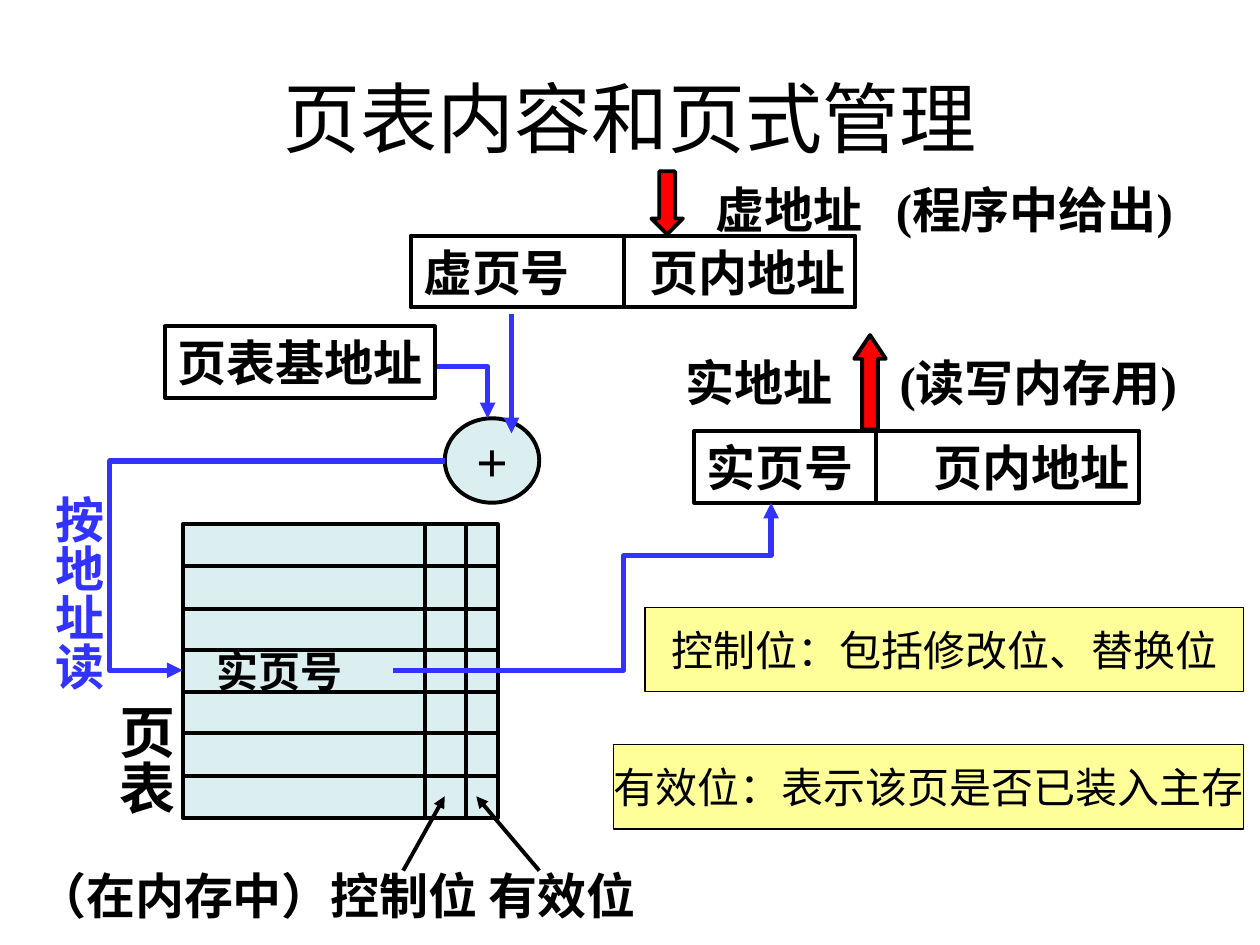
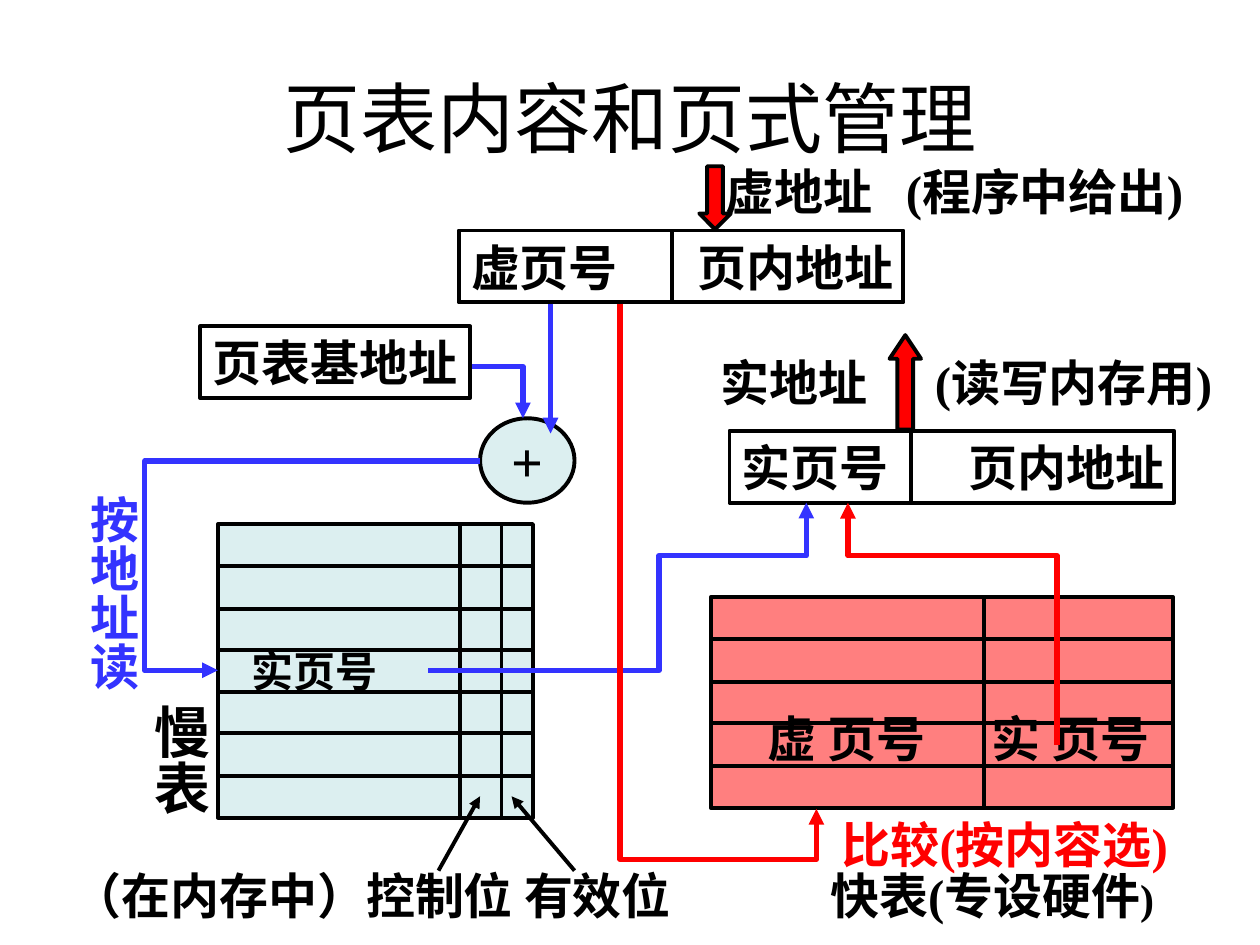
from dataclasses import dataclass, replace
from typing import Optional, Union

from lxml.etree import SubElement
from pptx import Presentation
from pptx.dml.color import RGBColor
from pptx.enum.lang import MSO_LANGUAGE_ID
from pptx.enum.shapes import MSO_CONNECTOR, MSO_SHAPE
from pptx.enum.text import MSO_ANCHOR, MSO_AUTO_SIZE, PP_ALIGN
from pptx.oxml.ns import qn
from pptx.util import Emu, Pt

PX = 9144
COLORS = {
    "ink": "000000",
    "blue": "3333FF",
    "red": "FF0000",
    "teal": "BBE0E3",
    "yellow": "FFFF99",
}
TITLE = "页表内容和页式管理"
TITLE_BOX = (50, 30, 900, 125)
TITLE_FONT = {"name": "Arial", "size": Pt(44), "bold": False}
FRAME = {"vertical_anchor": MSO_ANCHOR.MIDDLE, "auto_size": MSO_AUTO_SIZE.NONE}
SHIFT = 28

Box = tuple[int, int, int, int]
Point = tuple[int, int]


@dataclass(frozen=True)
class Block:
    box: Box
    text: str = ""
    shape: Optional[MSO_SHAPE] = None
    fill: str = ""
    alpha: int = 100
    weight: float = 2.25
    size: int = 28
    color: str = "ink"
    bold: bool = True
    inset: int = 10
    tab: int = 0
    vertical: bool = False
    wrap: bool = False
    ending: str = ""
    adjustments: tuple[float, ...] = ()


@dataclass(frozen=True)
class Path:
    points: tuple[Point, ...]
    color: str = "ink"
    weight: float = 2.25
    arrow: bool = False


Item = Union[Block, Path]


def px(value: int) -> Emu:
    return Emu(value * PX)


def rgb(name: str) -> RGBColor:
    return RGBColor.from_string(COLORS[name])


def set_attrs(target, values: dict) -> None:
    for name, value in values.items():
        setattr(target, name, value)


def add_run(p, text: str, color: str, values: dict) -> None:
    r = p.add_run()
    r.text = text
    set_attrs(r.font, {**values, "language_id": MSO_LANGUAGE_ID.SIMPLIFIED_CHINESE})
    r.font.color.rgb = rgb(color)


def set_line(s, color: str, weight: float) -> None:
    s.line.color.rgb = rgb(color)
    s.line.width = Pt(weight)


def write_text(sp, block: Block) -> None:
    tf = sp.text_frame
    side, top = (5, 10) if block.vertical else (block.inset, 5)
    set_attrs(tf, {
        **FRAME,
        "word_wrap": block.wrap or bool(block.tab),
        "margin_left": px(side),
        "margin_right": px(0 if block.tab else side),
        "margin_top": px(top),
        "margin_bottom": px(top),
    })
    if block.vertical:
        sp.element.find(".//" + qn("a:bodyPr")).set("vert", "eaVert")
    p = tf.paragraphs[0]
    p.alignment = PP_ALIGN.LEFT if block.tab else PP_ALIGN.CENTER
    if block.tab:
        tabs = SubElement(sp.element.find(".//" + qn("a:pPr")), qn("a:tabLst"))
        SubElement(tabs, qn("a:tab"), pos=str(px(block.tab)), algn="l")
    font = {"name": "Times New Roman", "size": Pt(block.size), "bold": block.bold}
    add_run(p, block.text, block.color, font)
    if block.ending:
        add_run(p, block.ending, block.color, {**font, "size": Pt(24)})


def draw_block(slide, block: Block) -> None:
    box = [px(value) for value in block.box]
    if block.shape is None:
        sp = slide.shapes.add_textbox(*box)
    else:
        sp = slide.shapes.add_shape(block.shape, *box)
        sp.shadow.inherit = False
        set_line(sp, "ink", block.weight)
        if block.fill:
            sp.fill.solid()
            sp.fill.fore_color.rgb = rgb(block.fill)
        else:
            sp.fill.background()
        if block.alpha < 100:
            color = sp.element.spPr.find(qn("a:solidFill")).find(qn("a:srgbClr"))
            SubElement(color, qn("a:alpha"), val=str(block.alpha * 1000))
        for i, value in enumerate(block.adjustments):
            sp.adjustments[i] = value
    if block.text:
        write_text(sp, block)


def draw_path(slide, path: Path) -> None:
    start, *rest = path.points
    straight = len(rest) == 1
    if straight:
        s = slide.shapes.add_connector(
            MSO_CONNECTOR.STRAIGHT, *(px(v) for v in (*start, *rest[0])))
    else:
        builder = slide.shapes.build_freeform(*start, scale=PX)
        builder.add_line_segments(rest, close=False)
        s = builder.convert_to_shape()
        s.fill.background()
        s.shadow.inherit = False
    set_line(s, path.color, path.weight)
    if path.arrow:
        SubElement(s.element.spPr.find(qn("a:ln")), qn("a:tailEnd"), type="triangle")
    if straight:
        SubElement(s.element.spPr, qn("a:effectLst"))


def draw(slide, items: list[Item]) -> None:
    for item in items:
        if isinstance(item, Block):
            draw_block(slide, item)
        else:
            draw_path(slide, item)


def moved(item: Item, dx: int) -> Item:
    if isinstance(item, Block):
        x, y, w, h = item.box
        return replace(item, box=(x + dx, y, w, h))
    return replace(item, points=tuple((x + dx, y) for x, y in item.points))


def route(color: str, *points: Point) -> Path:
    return Path(points, color, 3, True)


def grid(box: Box, rows: int, dividers: list[int], fill: str) -> list[Item]:
    x, y, w, h = box
    levels = [y + round(h * i / rows) for i in range(1, rows)]
    return [
        Block(box, shape=MSO_SHAPE.RECTANGLE, fill=fill, alpha=50),
        *(Path(((d, y), (d, y + h))) for d in dividers),
        *(Path(((x, level), (x + w, level))) for level in levels),
    ]


def address(x: int, y: int, split: int, page: str) -> list[Item]:
    return [
        Block((x, y, 353, 57), f"{page}\t页内地址", MSO_SHAPE.RECTANGLE, tab=180),
        Path(((x + split, y), (x + split, y + 57))),
    ]


def virtual_address(x: int, y: int, label: Point, drop: tuple[int, int]) -> list[Item]:
    drop_x, drop_y = drop
    return [
        Block((*label, 423, 57), "虚地址\t(程序中给出)", inset=20, tab=143),
        Block((x + 191, y - 51, 25, 50), shape=MSO_SHAPE.DOWN_ARROW, fill="red",
              adjustments=(0.5, 0.5)),
        *address(x, y, 169, "虚页号"),
        route("blue", (drop_x, drop_y), (drop_x, 344)),
    ]


def page_lookup(table_name: str) -> list[Item]:
    return [
        *grid((145, 416, 250, 233), 7, [337, 370], "teal"),
        Block((353, 332, 75, 67), "+", MSO_SHAPE.OVAL, "teal", 50, size=32),
        Block((12, 682, 510, 57), "（在内存中）控制位 有效位", wrap=True),
        Block((79, 549, 73, 99), table_name, size=32, vertical=True),
        Block((508, 275, 481, 57), "实地址\t(读写内存用)", inset=36, tab=170),
        Block((29, 383, 66, 166), "按地址读", color="blue", vertical=True),
        Block((678, 266, 25, 75), shape=MSO_SHAPE.UP_ARROW, fill="red",
              adjustments=(0.5, 0.75)),
        Path(((320, 691), (353, 632)), arrow=True),
        Path(((428, 691), (378, 632)), arrow=True),
        Block((162, 507, 120, 50), "实页号", size=24),
        *address(551, 342, 144, "实页号"),
        route("blue", (345, 291), (387, 291), (387, 332)),
        route("blue", (353, 366), (87, 366), (87, 532), (145, 532)),
        route("blue", (312, 532), (495, 532), (495, 441), (612, 441), (612, 399)),
        Block((131, 259, 214, 57), "页表基地址", MSO_SHAPE.RECTANGLE),
    ]


def note(box: Box, text: str) -> Block:
    return Block(box, text, MSO_SHAPE.RECTANGLE, "yellow", weight=0.75, size=24, bold=False)


def fast_table() -> list[Item]:
    return [
        *grid((564, 474, 367, 167), 5, [781], "red"),
        Block((589, 534, 342, 104), "虚 页号\t实 页号", inset=20, tab=178),
        Block((635, 682, 305, 57), "快表(专设硬件", ending=")"),
        Block((644, 641, 307, 57), "比较(按内容选)", color="red"),
        route("red", (492, 241), (492, 682), (648, 682), (648, 642)),
        route("red", (839, 591), (839, 441), (673, 441), (673, 399)),
    ]


def add_slide(prs, items: list[Item]) -> None:
    slide = prs.slides.add_slide(prs.slide_layouts[5])
    title = slide.shapes.title
    set_attrs(title, dict(zip(("left", "top", "width", "height"), map(px, TITLE_BOX))))
    set_attrs(title.text_frame, {**FRAME, "word_wrap": True})
    p = title.text_frame.paragraphs[0]
    p.alignment = PP_ALIGN.CENTER
    add_run(p, TITLE, "ink", TITLE_FONT)
    draw(slide, items)


def main() -> None:
    prs = Presentation()
    prs.slide_width, prs.slide_height = px(1000), px(750)
    add_slide(prs, [
        *page_lookup("页表"),
        *virtual_address(326, 187, (548, 137), (406, 249)),
        note((512, 482, 475, 67), "控制位：包括修改位、替换位"),
        note((487, 591, 500, 67), "有效位：表示该页是否已装入主存"),
    ])
    add_slide(prs, [
        *(moved(item, SHIFT) for item in page_lookup("慢表")),
        *virtual_address(364, 183, (556, 123), (437, 241)),
        *fast_table(),
    ])
    prs.save("out.pptx")


if __name__ == "__main__":
    main()
